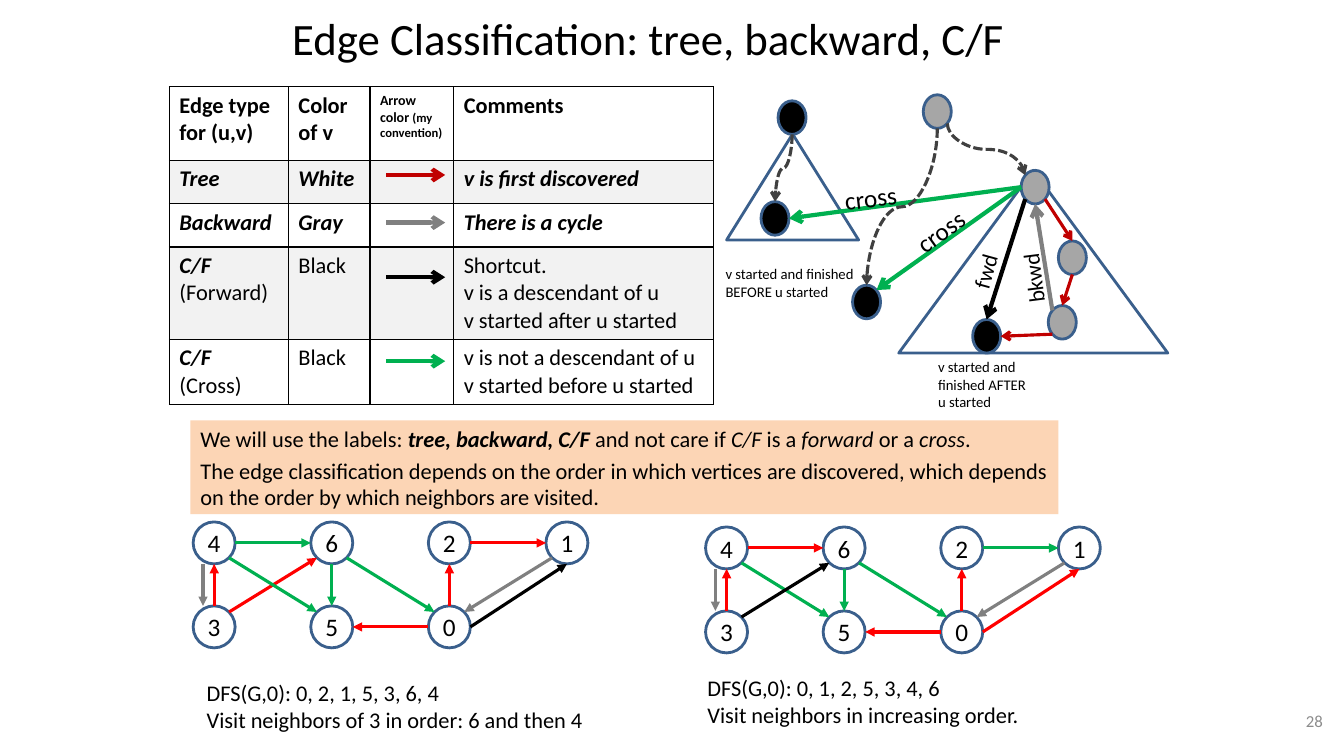
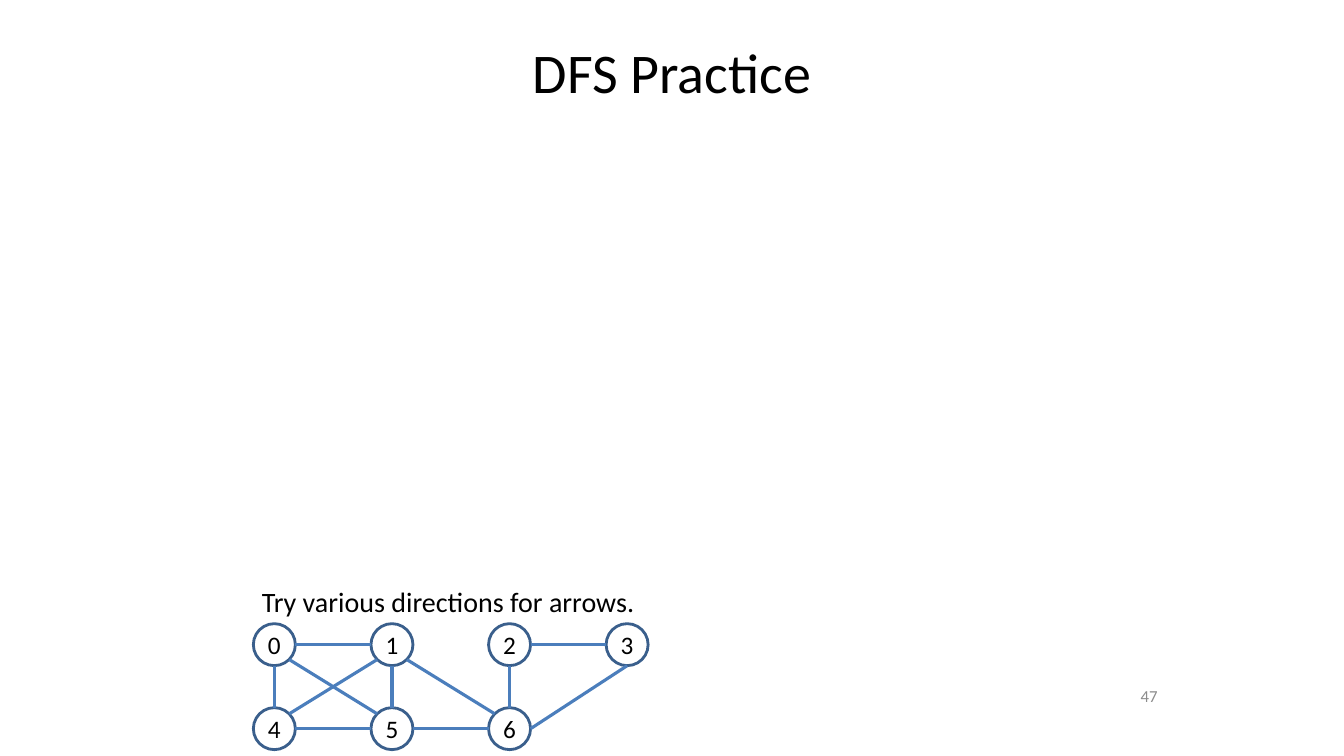
from pptx import Presentation
from pptx.dml.color import RGBColor
from pptx.enum.dml import MSO_LINE
from pptx.enum.shapes import MSO_CONNECTOR, MSO_SHAPE
from pptx.enum.text import MSO_ANCHOR, MSO_AUTO_SIZE, PP_ALIGN
from pptx.oxml.ns import qn
from pptx.util import Pt
from lxml.etree import SubElement

COLORS = {
    "text": "000000", "black": "000000", "outline": "3A5F8C", "edge": "4B7EBC",
    "red": "FF0000", "tree": "C00000", "green": "00B050", "gray": "808080",
    "dash": "404040", "visited": "A6A6A6", "band": "F2F2F2", "note": "FCD5B5",
    "number": "8C8C8C",
}
FONT = "Calibri"
N, S, E, W = (0, -1), (0, 1), (1, 0), (-1, 0)
NE, NW, SE, SW = (1, -1), (-1, -1), (1, 1), (-1, 1)


def color(name):
    return RGBColor.from_string(COLORS[name])


def write(frame, paragraphs, size=16, style="", fill="text", align=None, anchor=None,
          before=0, wrap=True):
    frame.word_wrap = wrap
    frame.auto_size = MSO_AUTO_SIZE.NONE
    if anchor is not None:
        frame.vertical_anchor = anchor
    write_paragraphs(frame, paragraphs, size, style, fill, align, before)


def write_paragraphs(frame, paragraphs, size=16, style="", fill="text", align=None, before=0):
    for index, runs in enumerate(paragraphs):
        paragraph = frame.paragraphs[0] if index == 0 else frame.add_paragraph()
        paragraph.space_before = Pt(before)
        if align is not None:
            paragraph.alignment = align
        for text, run_style, run_size in [(runs, style, size)] if isinstance(runs, str) else runs:
            run = paragraph.add_run()
            run.text = text
            run.font.name = FONT
            run.font.size = Pt(run_size)
            run.font.bold = "b" in run_style
            run.font.italic = "i" in run_style
            run.font.color.rgb = color(fill)


def move(shape, left, top, width, height):
    shape.left, shape.top, shape.width, shape.height = map(Pt, (left, top, width, height))


def add_label(slide, box, paragraphs, rotation=0, **text_format):
    label = slide.shapes.add_textbox(*map(Pt, box))
    label.rotation = rotation
    write(label.text_frame, paragraphs, **text_format)


def add_outline(slide, kind, left, top, width, height, fill=None):
    shape = slide.shapes.add_shape(kind, Pt(left), Pt(top), Pt(width), Pt(height))
    shape.shadow.inherit = False
    shape.line.color.rgb = color("outline")
    shape.line.width = Pt(2)
    if fill:
        shape.fill.solid()
        shape.fill.fore_color.rgb = color(fill)
    else:
        shape.fill.background()
    return shape


def site(shape, direction):
    x, y = direction
    reach = 0.71 if x and y else 1
    return (int(shape.left + shape.width * (1 + x * reach) / 2),
            int(shape.top + shape.height * (1 + y * reach) / 2))


def add_line(slide, begin, end, line_color, width=2.25, tail=None, kind=MSO_CONNECTOR.STRAIGHT):
    line = slide.shapes.add_connector(kind, *begin, *end)
    line.line.color.rgb = color(line_color)
    line.line.width = Pt(width)
    if tail:
        SubElement(line.line._get_or_add_ln(), qn("a:tailEnd"), type=tail)
    SubElement(line._element.spPr, qn("a:effectLst"))
    return line


def add_dashed_curve(slide, begin, end):
    (x1, y1), (x2, y2) = begin, end
    middle_x, middle_y = (x1 + x2) // 2, (y1 + y2) // 2
    rightward = x2 > x1
    half_width = (y2 - y1) // 2 * (-1 if rightward else 1)
    half_height = abs(x2 - x1) // 2
    curve = add_line(slide, (middle_x - half_width, middle_y - half_height),
                     (middle_x + half_width, middle_y + half_height),
                     "dash", tail="arrow", kind=MSO_CONNECTOR.CURVE)
    curve.line.dash_style = MSO_LINE.SQUARE_DOT
    curve._element.spPr.xfrm.set("rot", str((270 if rightward else 90) * 60000))


def add_graph(slide, left, top, labels, edges, tail="triangle"):
    nodes, places = {}, {}
    for slot, label in enumerate(labels):
        row, column = divmod(slot, 4)
        node = add_outline(slide, MSO_SHAPE.OVAL, left + 84 * column, top + 60 * row, 30, 30)
        frame = node.text_frame
        frame.margin_left = frame.margin_right = frame.margin_top = frame.margin_bottom = 0
        write(frame, [label], size=18, align=PP_ALIGN.CENTER, anchor=MSO_ANCHOR.MIDDLE)
        nodes[label], places[label] = node, (column, row)
    for edge_color, names in edges.items():
        for name in names.split():
            (start, finish), _, route = name.partition(":")[0], "", name.partition(":")[2]
            step = tuple(b - a for a, b in zip(places[start], places[finish]))
            back = tuple(-part for part in step)
            if route == "below":
                step, back = E, S
            begin, end = site(nodes[start], step), site(nodes[finish], back)
            if route == "left":
                begin, end = [(x - Pt(8), y) for x, y in (begin, end)]
            add_line(slide, begin, end, edge_color, tail=tail)


def add_edge_table(slide, left, top):
    widths, heights = (85, 58.3, 59.8, 185.8), (52.5, 31, 31, 65.5, 46)
    header = [["Edge type", "for (u,v)"], ["Color of v"],
              [[("Arrow color ", "b", 10), ("(my convention)", "b", 9)]], ["Comments"]]
    rows = [
        (header, "b"),
        ([["Tree"], ["White"], [], ["v is first discovered"]], "bi"),
        ([["Backward"], ["Gray"], [], ["There is a cycle"]], "bi"),
        ([[[("C/F", "bi", 16)], "(Forward)"], ["Black"], [],
          ["Shortcut.", "v is a descendant of u", "v started after u started"]], ""),
        ([[[("C/F", "bi", 16)], "(Cross)"], ["Black"], [],
          ["v is not a descendant of u", "v started before u started"]], ""),
    ]
    table = slide.shapes.add_table(len(rows), len(widths), Pt(left), Pt(top),
                                   Pt(sum(widths)), Pt(sum(heights))).table
    table.first_row = table.horz_banding = False
    for column, width in zip(table.columns, widths):
        column.width = Pt(width)
    for row_index, (cells, style) in enumerate(rows):
        table.rows[row_index].height = Pt(heights[row_index])
        for cell, paragraphs in zip(table.rows[row_index].cells, cells):
            write_paragraphs(cell.text_frame, paragraphs, style=style)
            add_borders(cell)
            if row_index % 2:
                cell.fill.solid()
                cell.fill.fore_color.rgb = color("band")
            else:
                cell.fill.background()
    arrows = [(63, "tree"), (97, "gray"), (136, "black"), (196, "green")]
    for offset, arrow_color in arrows:
        y = Pt(top + offset)
        add_line(slide, (Pt(left + 155), y), (Pt(left + 197), y), arrow_color, 3, "arrow")


def add_borders(cell):
    properties = cell._tc.get_or_add_tcPr()
    for side in ("lnL", "lnR", "lnT", "lnB"):
        border = SubElement(properties, qn(f"a:{side}"), w=str(Pt(1)))
        SubElement(SubElement(border, qn("a:solidFill")), qn("a:srgbClr"), val=COLORS["black"])


def add_forest(slide, left, top):
    for x, y, width, height in [(123, 54, 192.2, 130.5), (0, 28, 94.3, 75.7)]:
        add_outline(slide, MSO_SHAPE.ISOSCELES_TRIANGLE, left + x, top + y, width, height)
    places = {
        "ancestor": (140.5, 0, "visited"), "u": (210.4, 54, "visited"),
        "child": (237, 104.4, "visited"), "grandchild": (229.8, 150.5, "visited"),
        "descendant": (175.8, 160.5, "black"), "relative": (90, 136, "black"),
        "other root": (36.8, 4.3, "black"), "other leaf": (24.6, 76.3, "black"),
    }
    nodes = {name: add_outline(slide, MSO_SHAPE.OVAL, left + x, top + y, 20, 24, fill)
             for name, (x, y, fill) in places.items()}
    for start, leave, finish, arrive, edge_color, width in [
        ("u", SE, "child", N, "tree", 2.25),
        ("child", S, "grandchild", N, "tree", 2.25),
        ("grandchild", SW, "descendant", E, "tree", 2.25),
        ("u", SW, "descendant", N, "black", 3),
        ("u", W, "relative", NE, "green", 3),
        ("u", W, "other leaf", E, "green", 3),
        ("grandchild", NW, "u", S, "gray", 3),
    ]:
        add_line(slide, site(nodes[start], leave), site(nodes[finish], arrive),
                 edge_color, width, "arrow")
    for start, leave, finish, arrive in [("ancestor", SE, "u", NW),
                                         ("ancestor", S, "relative", N),
                                         ("other root", S, "other leaf", N)]:
        add_dashed_curve(slide, site(nodes[start], leave), site(nodes[finish], arrive))
    for text, x, y, width, height, rotation, size in [
        ("cross", 127, 82.8, 51.8, 28.8, 324.4, 18),
        ("cross", 77.2, 59, 51.8, 28.8, 353.1, 18),
        ("fwd", 165, 112.3, 39.6, 26.6, 285.4, 16),
        ("bkwd", 193.8, 117.3, 50.4, 26.6, 262.7, 16),
    ]:
        add_label(slide, (left + x, top + y, width, height), [text], rotation,
                  size=size, wrap=False)
    for text, x, y, width in [("v started and finished BEFORE u started", -7.8, 118, 111),
                              ("v started and finished AFTER u started", 144, 184.3, 83.5)]:
        add_label(slide, (left + x, top + y, width, 45), [text], size=10.5)


def add_note(placeholder, box):
    move(placeholder, *box)
    placeholder.fill.solid()
    placeholder.fill.fore_color.rgb = color("note")
    styled = [("We will use the labels: ", ""), ("tree, backward, C/F", "bi"),
              (" and not care if ", ""), ("C/F", "i"), (" is a ", ""), ("forward", "i"),
              (" or a ", ""), ("cross", "i"), (".", "")]
    write(placeholder.text_frame, [
        [(text, style, 16) for text, style in styled],
        "The edge classification depends on the order in which vertices are discovered, "
        "which depends on the order by which neighbors are visited.",
    ], before=3.2)
    for paragraph in placeholder.text_frame.paragraphs:
        properties = paragraph._p.get_or_add_pPr()
        properties.set("marL", "0")
        properties.set("indent", "0")
        SubElement(properties, qn("a:buNone"))


def add_titled_slide(presentation, layout, title, title_box, size, number, number_box):
    slide = presentation.slides.add_slide(presentation.slide_layouts[layout])
    move(slide.shapes.title, *title_box)
    write(slide.shapes.title.text_frame, [title], size=size, align=PP_ALIGN.CENTER,
          anchor=MSO_ANCHOR.MIDDLE)
    add_label(slide, number_box, [number], size=12, fill="number", align=PP_ALIGN.RIGHT,
              anchor=MSO_ANCHOR.MIDDLE)
    return slide


def build_classification(presentation):
    slide = add_titled_slide(presentation, 1, "Edge Classification: tree, backward, C/F",
                             (140.5, 0, 645, 54), 32, "28", (728, 500.4, 224, 28.8))
    add_note(slide.placeholders[1], (136, 300.2, 620, 67))
    add_edge_table(slide, 121, 62)
    add_forest(slide, 519, 67.7)
    add_graph(slide, 138, 372.8, "4621350", {
        "red": "05 21 34 02 36", "green": "46 65 45 60", "gray": "10 43:left",
        "black": "01:below"})
    add_graph(slide, 504, 376.4, "4621350", {
        "red": "46 05 34 02 01:below", "green": "21 65 45 60", "gray": "10 43:left",
        "black": "36"})
    add_label(slide, (140.5, 481.7, 292, 46), ["DFS(G,0): 0, 2, 1, 5, 3, 6, 4",
                                               "Visit neighbors of 3 in order: 6 and then 4"])
    add_label(slide, (498.2, 478, 300, 46), ["DFS(G,0): 0, 1, 2, 5, 3, 4, 6",
                                             "Visit neighbors in increasing order."])


def build_practice(presentation):
    slide = add_titled_slide(presentation, 5, "DFS Practice", (48, 6, 864, 90), 40,
                             "47", (666, 482.4, 168, 28.8))
    add_graph(slide, 181, 445.5, "0123456",
              {"edge": "01 45 56 63:below 23 40 51 62 41 05 16"}, tail=None)
    add_label(slide, (180, 414, 283, 31.5), ["Try various directions for arrows."],
              size=20, wrap=False)


presentation = Presentation()
presentation.slide_width, presentation.slide_height = Pt(960), Pt(540)
build_classification(presentation)
build_practice(presentation)
presentation.save("out.pptx")
